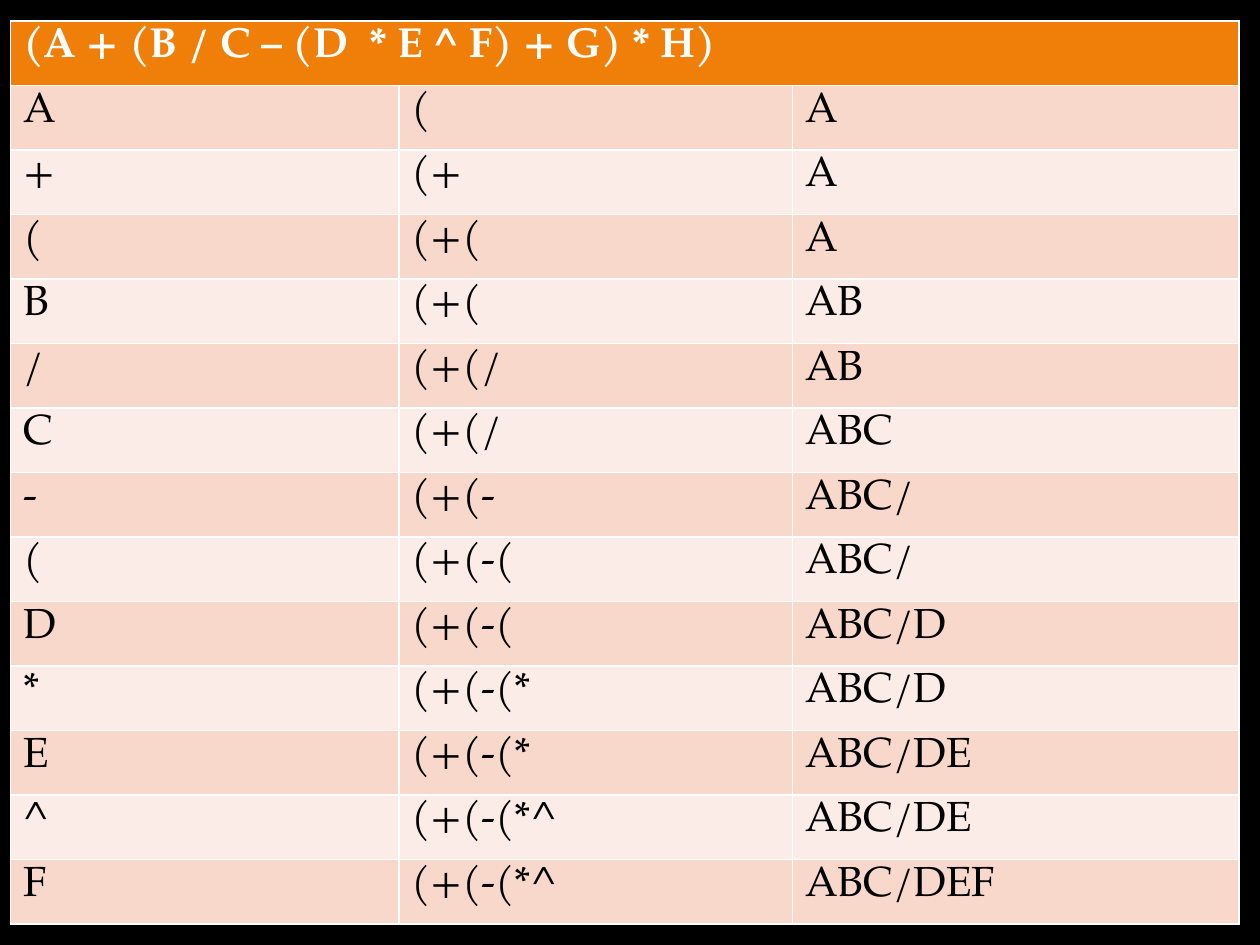
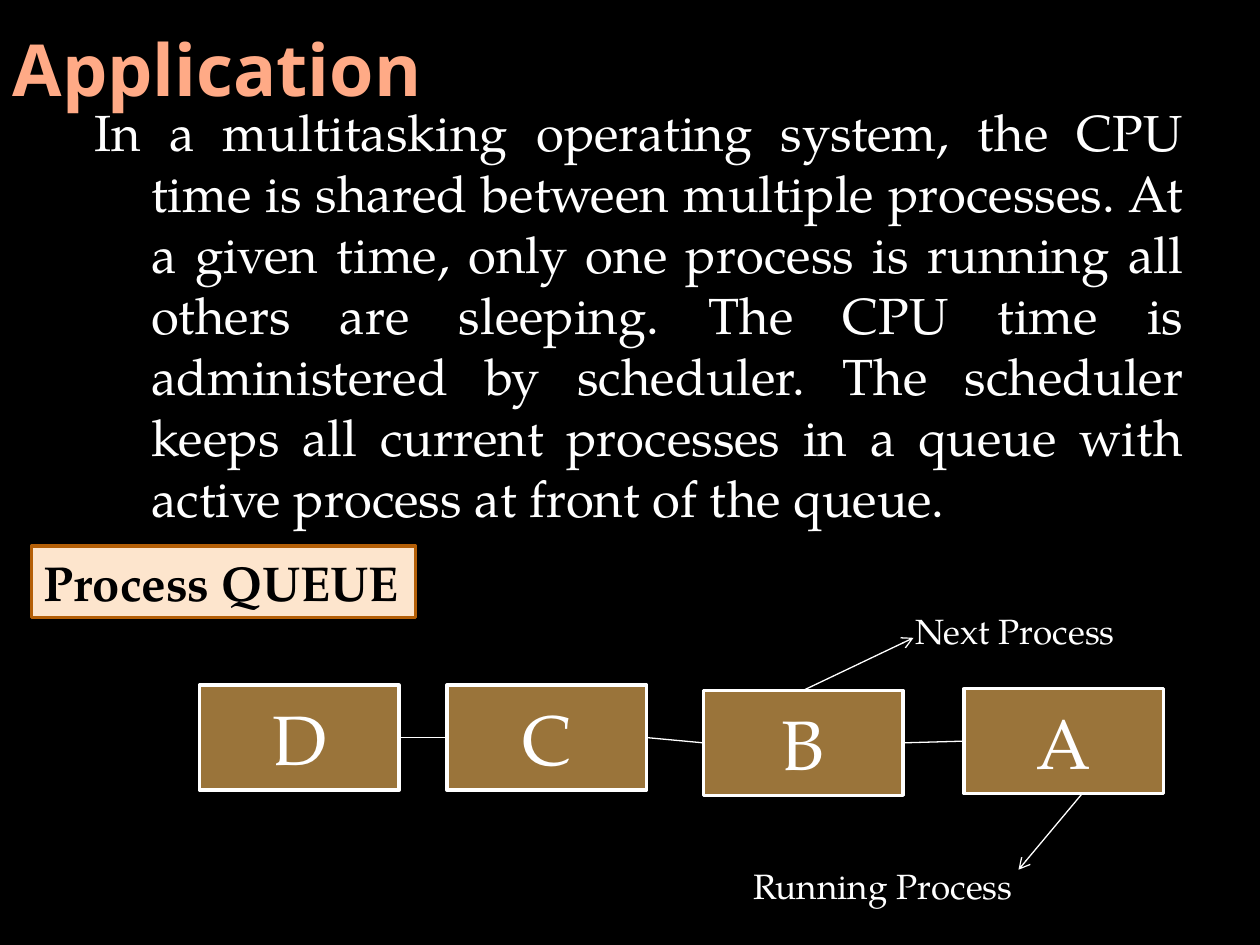
"""Build two slides: an infix-to-postfix trace and a process queue."""
from dataclasses import dataclass
from lxml import etree
from pptx import Presentation
from pptx.dml.color import RGBColor as RGB
from pptx.enum.shapes import MSO_CONNECTOR as CONN, MSO_SHAPE as SHAPE
from pptx.enum.text import MSO_ANCHOR as ANCHOR, MSO_AUTO_SIZE as AUTO, PP_ALIGN as ALIGN
from pptx.oxml.ns import qn
from pptx.util import Pt


@dataclass(frozen=True)
class Theme:
    font: str = "TeX Gyre Pagella"
    title_font: str = "Open Sans"
    black: str = "000000"
    white: str = "FFFFFF"
    title: str = "FFAA86"
    header: str = "F07F09"
    bands: tuple = ("F9D8CC", "FCECE7")
    box: str = "9A743A"
    tag: str = "FDE5CD"
    tag_line: str = "B45F07"
    title_size: int = 41
    box_size: int = 40
    body_size: int = 29
    tag_size: int = 28
    table_size: int = 24
    label_size: int = 20


T = Theme()


def write(tf, text, size, color, bold=False, name=T.font, align=ALIGN.LEFT):
    tf.text = text
    p = tf.paragraphs[0]
    p.alignment = align
    p.font.name, p.font.size, p.font.bold = name, Pt(size), bold
    p.font.color.rgb = RGB.from_string(color)
    return p


def add_line(shapes, x1, y1, x2, y2, arrow=False):
    c = shapes.add_connector(CONN.STRAIGHT, Pt(x1), Pt(y1), Pt(x2), Pt(y2))
    c.line.color.rgb = RGB.from_string(T.white)
    c.line.width = Pt(0.75)
    if arrow:
        etree.SubElement(c.line._get_or_add_ln(), qn("a:tailEnd"), type="arrow")
    etree.SubElement(c._element.spPr, qn("a:effectLst"))
    return c


prs = Presentation()
prs.slide_width, prs.slide_height = Pt(720), Pt(540)
bg = prs.slide_master.background.fill
bg.solid()
bg.fore_color.rgb = RGB.from_string(T.black)

s = prs.slides.add_slide(prs.slide_layouts[6])
trace = [
    ("A", "(", "A"),
    ("+", "(+", "A"),
    ("(", "(+(", "A"),
    ("B", "(+(", "AB"),
    ("/", "(+(/", "AB"),
    ("C", "(+(/", "ABC"),
    ("-", "(+(-", "ABC/"),
    ("(", "(+(-(", "ABC/"),
    ("D", "(+(-(", "ABC/D"),
    ("*", "(+(-(*", "ABC/D"),
    ("E", "(+(-(*", "ABC/DE"),
    ("^", "(+(-(*^", "ABC/DE"),
    ("F", "(+(-(*^", "ABC/DEF"),
]
row_height = 36.86
table = s.shapes.add_table(len(trace) + 1, 3, Pt(6), Pt(12), Pt(702),
                           Pt(row_height * (len(trace) + 1))).table
for column, width in zip(table.columns, (222, 225, 255)):
    column.width = Pt(width)
for row in table.rows:
    row.height = Pt(row_height)
header = table.cell(0, 0)
header.merge(table.cell(0, 2))
header.fill.solid()
header.fill.fore_color.rgb = RGB.from_string(T.header)
write(header.text_frame, "(A + (B / C – (D  * E ^ F) + G) * H)", T.table_size, T.white, True)
for i, step in enumerate(trace):
    for j, text in enumerate(step):
        cell = table.cell(i + 1, j)
        cell.fill.solid()
        cell.fill.fore_color.rgb = RGB.from_string(T.bands[i % 2])
        write(cell.text_frame, text, T.table_size, T.black)

s = prs.slides.add_slide(prs.slide_layouts[1])
title, body = s.placeholders
title.left, title.top, title.width, title.height = Pt(0), Pt(0), Pt(300), Pt(78)
title.text_frame.auto_size = AUTO.NONE
title.text_frame.vertical_anchor = ANCHOR.MIDDLE
write(title.text_frame, "Application", T.title_size, T.title, True, T.title_font)

body.left, body.top, body.width, body.height = Pt(36), Pt(54), Pt(648), Pt(282)
body.text_frame.auto_size = AUTO.NONE
p = write(
    body.text_frame,
    "In a multitasking operating system, the CPU time is shared between multiple processes. "
    "At a given time, only one process is running all others are sleeping. "
    "The CPU time is administered by scheduler. The scheduler keeps all current processes "
    "in a queue with active process at front of the queue.",
    T.body_size, T.white, align=ALIGN.JUSTIFY)
pPr = p._p.get_or_add_pPr()
pPr.set("marL", str(Pt(43.2)))
pPr.set("indent", str(Pt(-32.4)))
pPr.insert_element_before(etree.Element(qn("a:buNone")), "a:tabLst", "a:defRPr", "a:extLst")

boxes = []
for name, x, y in (("D", 114, 391.5), ("C", 255.5, 391.5), ("B", 402, 394.5), ("A", 551, 393.5)):
    sp = s.shapes.add_shape(SHAPE.RECTANGLE, Pt(x), Pt(y), Pt(114), Pt(60))
    sp.shadow.inherit = False
    sp.fill.solid()
    sp.fill.fore_color.rgb = RGB.from_string(T.box)
    sp.line.color.rgb = RGB.from_string(T.white)
    sp.line.width = Pt(2)
    sp.text_frame.vertical_anchor = ANCHOR.MIDDLE
    write(sp.text_frame, name, T.box_size, T.white, align=ALIGN.CENTER)
    boxes.append(sp)

for left, right in zip(boxes, boxes[1:]):
    link = add_line(s.shapes, 0, 0, 0, 0)
    link.begin_connect(left, 3)
    link.end_connect(right, 1)

for text, x, y, w, h, size, color, bold in (
    ("Running Process", 423.5, 490.5, 165, 31.5, T.label_size, T.white, False),
    ("Next Process", 516, 345, 130.5, 31.5, T.label_size, T.white, False),
    ("Process QUEUE", 18, 312, 219.5, 41, T.tag_size, T.black, True),
):
    tag = s.shapes.add_textbox(Pt(x), Pt(y), Pt(w), Pt(h))
    tag.text_frame.word_wrap = False
    tag.text_frame.auto_size = AUTO.SHAPE_TO_FIT_TEXT
    write(tag.text_frame, text, size, color, bold)
tag.fill.solid()
tag.fill.fore_color.rgb = RGB.from_string(T.tag)
tag.line.color.rgb = RGB.from_string(T.tag_line)
tag.line.width = Pt(2)

add_line(s.shapes, 618, 454, 582, 497, arrow=True)
next_arrow = add_line(s.shapes, 459, 394.5, 522, 364.5, arrow=True)
next_arrow.begin_connect(boxes[2], 0)

prs.save("out.pptx")
